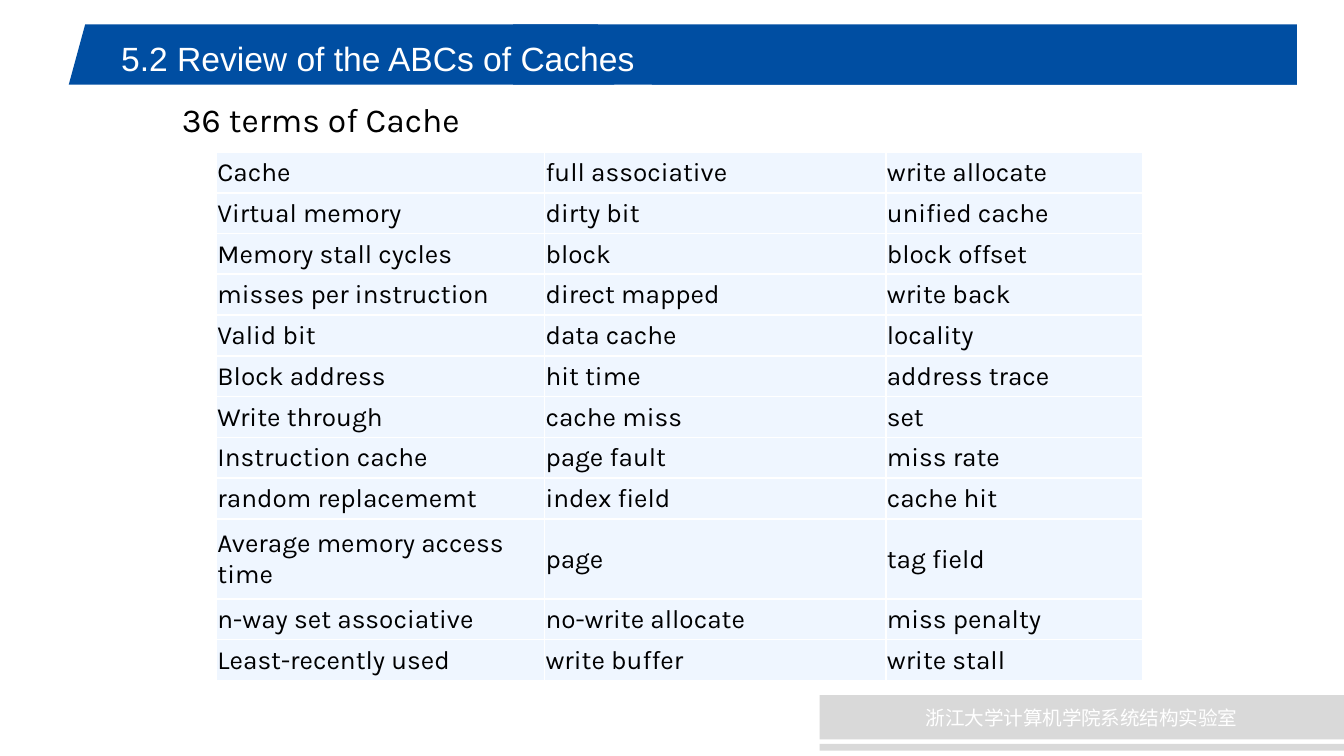
"""Build the slide listing 36 cache terms in a three-column table."""
from dataclasses import dataclass

from lxml.etree import SubElement
from pptx import Presentation
from pptx.dml.color import RGBColor
from pptx.enum.shapes import MSO_SHAPE as Preset
from pptx.enum.text import MSO_ANCHOR as Anchor, PP_ALIGN as Align
from pptx.oxml.ns import qn
from pptx.util import Cm, Pt


@dataclass(frozen=True)
class Theme:
    blue: str = "004EA2"
    grey: str = "D9D9D9"
    cell: str = "EFF6FF"
    white: str = "FFFFFF"
    black: str = "000000"
    title_font: str = "Arial"
    body_font: str = "Karla"
    footer_font: str = "Noto Sans CJK SC"
    heading_size: float = 18
    table_size: float = 14
    footer_size: float = 10.5
    border_width: float = 1


THEME = Theme()


@dataclass(frozen=True)
class Area:
    left: float
    top: float
    width: float
    height: float

    def lengths(self) -> tuple:
        return Cm(self.left), Cm(self.top), Cm(self.width), Cm(self.height)


@dataclass(frozen=True)
class Bar:
    area: Area
    color: str
    preset: Preset = Preset.RECTANGLE
    adjustment: float | None = None


@dataclass(frozen=True)
class TextStyle:
    font: str
    size: float
    color: str
    align: Align = Align.LEFT
    spacing: float = 1.0


TITLE = TextStyle(THEME.title_font, THEME.heading_size, THEME.white)
SUBTITLE = TextStyle(THEME.body_font, THEME.heading_size, THEME.black, Align.CENTER, 0.8)
FOOTER = TextStyle(THEME.footer_font, THEME.footer_size, THEME.white, Align.CENTER)
TERM = TextStyle(THEME.body_font, THEME.table_size, THEME.black)

HEADER_BARS = (
    Bar(Area(1.3, 0.46, 10.31, 1.14), THEME.blue, Preset.TRAPEZOID, 0.273),
    Bar(Area(9.7, 0.46, 14.81, 1.14), THEME.blue),
    Bar(Area(12.32, 1.5, 12.19, 0.1), THEME.blue),
)
FOOTER_BAR = Bar(Area(15.49, 13.13, 9.91, 0.84), THEME.grey)
FOOTER_STRIP = Bar(Area(15.49, 14.05, 9.91, 0.13), THEME.grey)

TABLE_LEFT, TABLE_TOP = 4.09, 2.87
COLUMN_WIDTHS = (6.2, 6.45, 4.85)
ROW_HEIGHT, TALL_ROW_HEIGHT, TALL_ROW = 0.77, 1.51, 9
TERMS = (
    ("Cache", "full associative", "write allocate"),
    ("Virtual memory", "dirty bit", "unified cache"),
    ("Memory stall cycles", "block", "block offset"),
    ("misses per instruction", "direct mapped", "write back"),
    ("Valid bit", "data cache", "locality"),
    ("Block address", "hit time", "address trace"),
    ("Write through", "cache miss", "set"),
    ("Instruction cache", "page fault", "miss rate"),
    ("random replacememt", "index field", "cache hit"),
    ("Average memory access time", "page", "tag field"),
    ("n-way set associative", "no-write allocate", "miss penalty"),
    ("Least-recently used", "write buffer", "write stall"),
)


def write(frame, text: str, style: TextStyle) -> None:
    para = frame.paragraphs[0]
    para.alignment = style.align
    para.line_spacing = style.spacing
    span = para.add_run()
    span.text = text
    span.font.name = style.font
    span.font.size = Pt(style.size)
    span.font.color.rgb = RGBColor.from_string(style.color)
    SubElement(span.font._element, qn("a:ea"), typeface=style.font)


def draw_bar(page, bar: Bar):
    shape = page.shapes.add_shape(bar.preset, *bar.area.lengths())
    shape.shadow.inherit = False
    shape.fill.solid()
    shape.fill.fore_color.rgb = RGBColor.from_string(bar.color)
    shape.line.fill.background()
    if bar.adjustment is not None:
        shape.adjustments[0] = bar.adjustment
    return shape


def draw_text(page, area: Area, text: str, style: TextStyle, anchor: Anchor, wrap: bool):
    frame = page.shapes.add_textbox(*area.lengths()).text_frame
    frame.word_wrap = wrap
    frame.vertical_anchor = anchor
    write(frame, text, style)
    return frame


def add_borders(cell) -> None:
    properties = cell._tc.get_or_add_tcPr()
    for side in ("lnL", "lnR", "lnT", "lnB"):
        line = SubElement(properties, qn(f"a:{side}"), w=str(Pt(THEME.border_width)))
        SubElement(SubElement(line, qn("a:solidFill")), qn("a:srgbClr"), val=THEME.white)


def fill_cell(cell, text: str) -> None:
    add_borders(cell)
    cell.fill.solid()
    cell.fill.fore_color.rgb = RGBColor.from_string(THEME.cell)
    cell.margin_left = cell.margin_right = cell.margin_top = Cm(0.02)
    cell.margin_bottom = 0
    cell.vertical_anchor = Anchor.MIDDLE
    write(cell.text_frame, text, TERM)


def draw_terms(page) -> None:
    heights = [TALL_ROW_HEIGHT if row == TALL_ROW else ROW_HEIGHT for row in range(len(TERMS))]
    area = Area(TABLE_LEFT, TABLE_TOP, sum(COLUMN_WIDTHS), sum(heights))
    table = page.shapes.add_table(len(TERMS), len(COLUMN_WIDTHS), *area.lengths()).table
    table.first_row = table.horz_banding = False
    for column, width in zip(table.columns, COLUMN_WIDTHS):
        column.width = Cm(width)
    for row, height, terms in zip(table.rows, heights, TERMS):
        row.height = Cm(height)
        for cell, term in zip(row.cells, terms):
            fill_cell(cell, term)


def main() -> None:
    deck = Presentation()
    deck.slide_width, deck.slide_height = Cm(25.4), Cm(14.28)
    page = deck.slides.add_slide(deck.slide_layouts[6])
    for bar in HEADER_BARS:
        draw_bar(page, bar)
    footer = draw_bar(page, FOOTER_BAR).text_frame
    footer.vertical_anchor = Anchor.MIDDLE
    write(footer, "浙江大学计算机学院系统结构实验室", FOOTER)
    draw_bar(page, FOOTER_STRIP)
    title = draw_text(page, Area(2.11, 0.38, 18.62, 1.42),
                      "5.2 Review of the ABCs of Caches", TITLE, Anchor.MIDDLE, True)
    title.margin_left = title.margin_right = Cm(0.18)
    draw_text(page, Area(3.12, 1.9, 5.89, 0.86),
              "36 terms of Cache ", SUBTITLE, Anchor.TOP, False)
    draw_terms(page)
    deck.save("out.pptx")


if __name__ == "__main__":
    main()
